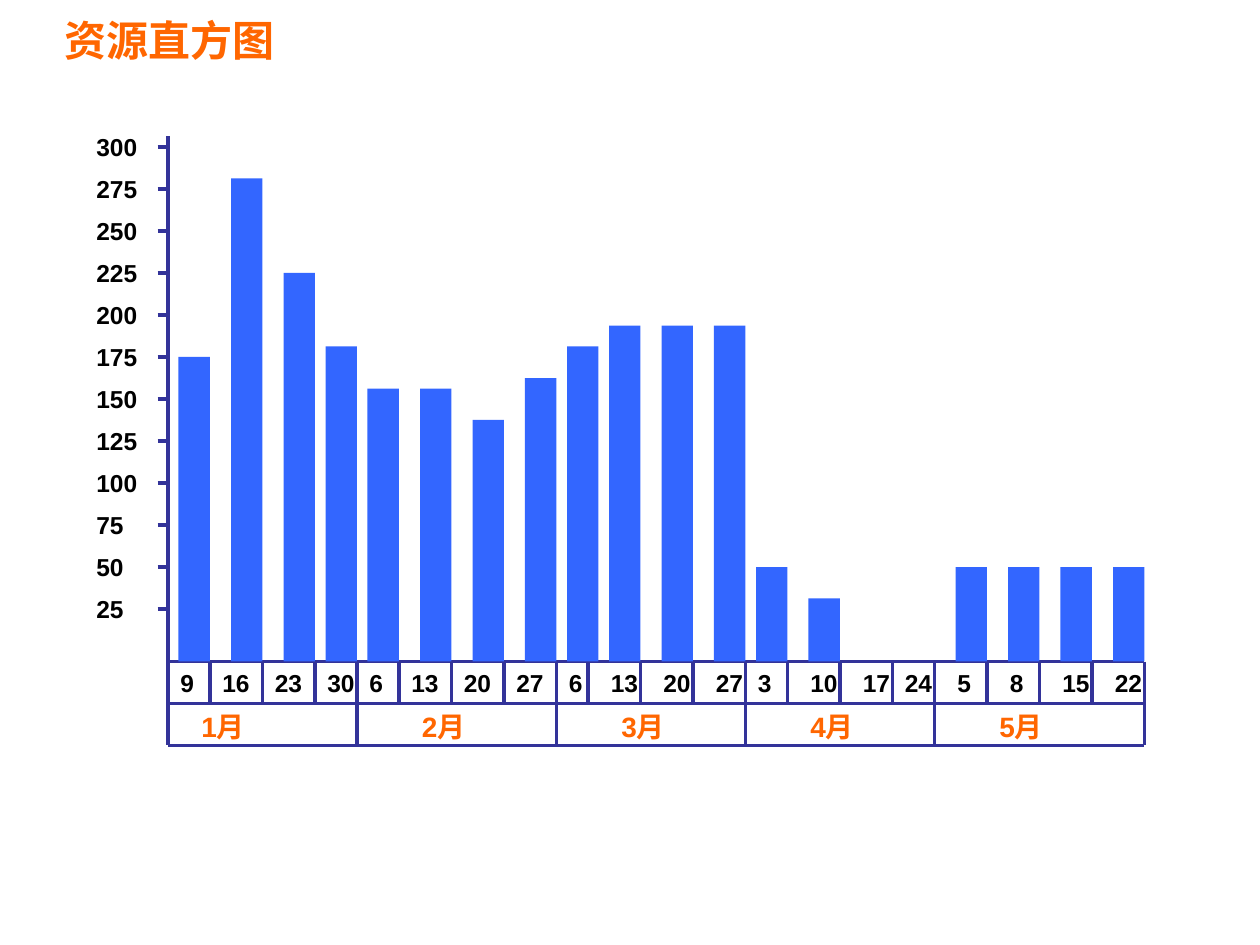
from pptx import Presentation
from pptx.dml.color import RGBColor
from pptx.enum.shapes import MSO_CONNECTOR, MSO_SHAPE
from pptx.enum.text import MSO_ANCHOR, MSO_AUTO_SIZE
from pptx.oxml.ns import qn
from pptx.util import Pt
from lxml.etree import SubElement

# The drawing sits on a grid of 6 points; positions below count grid units
UNIT = 6
LEFT, RIGHT = 16, 109
AXIS_TOP, ZERO, BASE, WEEK_BOTTOM, MONTH_BOTTOM = 13, 62, 63, 67, 71
STEP, STEP_UNITS = 25, 4
BAR_WIDTH = 3

NAVY, BLUE, ORANGE, BLACK = "333399", "3366FF", "FF6600", "000000"
TITLE = dict(size=Pt(24), bold=True, name="Arial")
MONTH = dict(size=Pt(16), bold=True, name="Arial")
LABEL = dict(size=Pt(14), bold=True, name="Arial")

# Month: name, label left, right edge, week dividers,
# then weeks as (day, label left, bar left, value)
MONTHS = [
    ("1月", 18, 34, (20, 25, 30),
     [(9, 16, 17, 175), (16, 20, 22, 281.25),
      (23, 25, 27, 225), (30, 30, 31, 181.25)]),
    ("2月", 39, 53, (38, 43, 48),
     [(6, 34, 35, 156.25), (13, 38, 40, 156.25),
      (20, 43, 45, 137.5), (27, 48, 50, 162.5)]),
    ("3月", 58, 71, (56, 61, 66),
     [(6, 53, 54, 181.25), (13, 57, 58, 193.75),
      (20, 62, 63, 193.75), (27, 67, 68, 193.75)]),
    ("4月", 76, 89, (75, 80, 85),
     [(3, 71, 72, 50), (10, 76, 77, 31.25),
      (17, 81, 82, 0), (24, 85, 86, 0)]),
    ("5月", 94, RIGHT, (94, 99, 104),
     [(5, 90, 91, 50), (8, 95, 96, 50),
      (15, 100, 101, 50), (22, 105, 106, 50)]),
]


def color(hex_value):
    return RGBColor.from_string(hex_value)


def grid(n):
    return Pt(n * UNIT)


def height_of(value):
    return value / STEP * STEP_UNITS


def add_line(s, x1, y1, x2, y2):
    sp = s.shapes.add_connector(MSO_CONNECTOR.STRAIGHT,
                                grid(x1), grid(y1), grid(x2), grid(y2))
    sp.line.color.rgb = color(NAVY)
    sp.line.width = Pt(2)
    SubElement(sp._element.spPr, qn("a:effectLst"))


def add_text(s, text, x, y, w, h, font, rgb, anchor=MSO_ANCHOR.TOP):
    sp = s.shapes.add_textbox(grid(x), grid(y), grid(w), Pt(h))
    tf = sp.text_frame
    tf.word_wrap = True
    tf.auto_size = MSO_AUTO_SIZE.NONE
    tf.vertical_anchor = anchor
    r = tf.paragraphs[0].add_run()
    r.text = text
    for key, value in font.items():
        setattr(r.font, key, value)
    r.font.color.rgb = color(rgb)


def add_label(s, text, x, y):
    add_text(s, text, x, y, 7, 24.5, LABEL, BLACK)


def add_bar(s, x, value):
    top = ZERO - height_of(value)
    sp = s.shapes.add_shape(MSO_SHAPE.RECTANGLE, grid(x), grid(top),
                            grid(BAR_WIDTH), grid(BASE - top))
    sp.shadow.inherit = False
    sp.fill.solid()
    sp.fill.fore_color.rgb = color(BLUE)
    sp.line.fill.background()


def add_value_axis(s):
    add_line(s, LEFT, AXIS_TOP, LEFT, MONTH_BOTTOM)
    for value in range(300, 0, -STEP):
        y = ZERO - height_of(value)
        add_line(s, LEFT - 1, y, LEFT, y)
        add_label(s, str(value), 8, y - 2)


def add_calendar(s):
    for y in (BASE, WEEK_BOTTOM, MONTH_BOTTOM):
        add_line(s, LEFT, y, RIGHT, y)
    for name, label_left, right, dividers, weeks in MONTHS:
        add_line(s, right, BASE, right, MONTH_BOTTOM)
        for x in dividers:
            add_line(s, x, BASE, x, WEEK_BOTTOM)
        add_text(s, name, label_left, WEEK_BOTTOM, 8, 26.6, MONTH, ORANGE)
        for day, day_left, _, _ in weeks:
            add_label(s, str(day), day_left, BASE)


def add_bars(s):
    for *_, weeks in MONTHS:
        for _, _, x, value in weeks:
            if value:
                add_bar(s, x, value)


def main():
    prs = Presentation()
    prs.slide_width, prs.slide_height = Pt(720), Pt(540)
    s = prs.slides.add_slide(prs.slide_layouts[6])

    # Title
    add_text(s, "资源直方图", 5, 0, 55, 45, TITLE, ORANGE, MSO_ANCHOR.MIDDLE)

    # Histogram
    add_value_axis(s)
    add_calendar(s)
    add_bars(s)

    prs.save("out.pptx")


if __name__ == "__main__":
    main()
